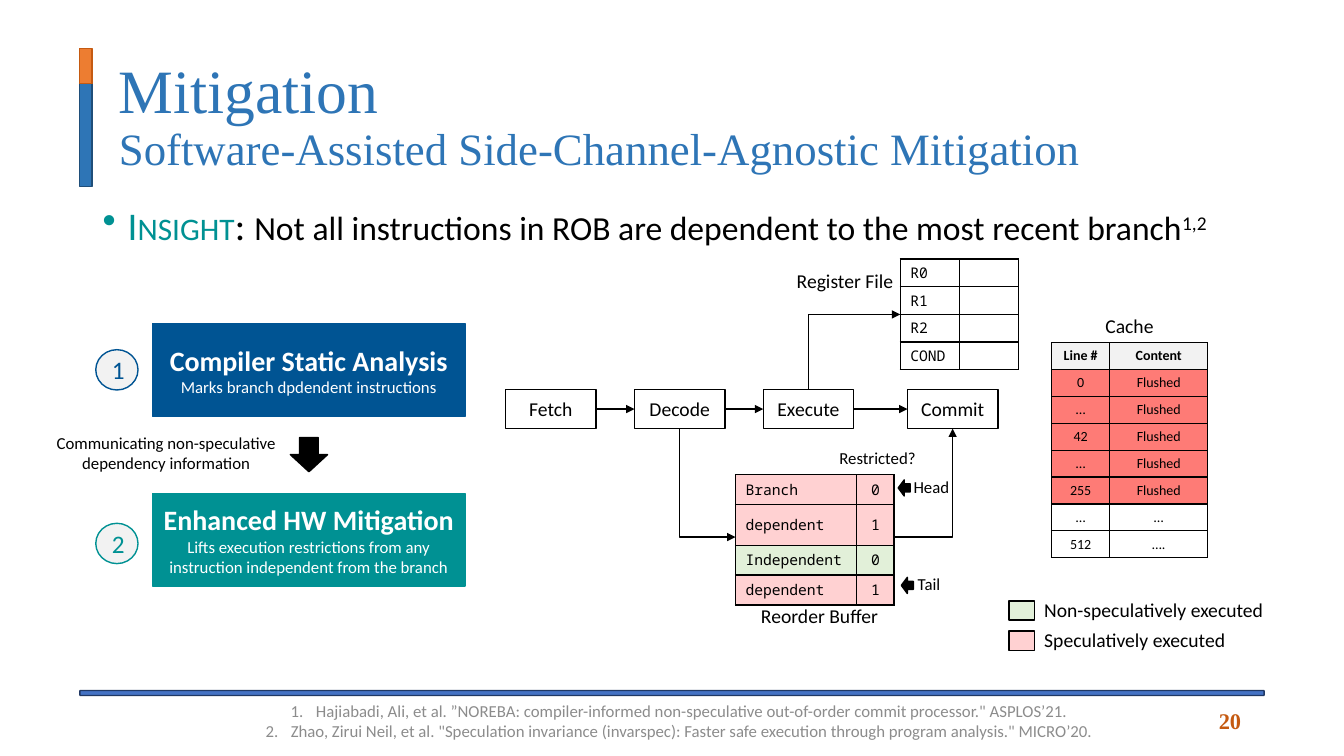
from lxml.etree import SubElement
from pptx import Presentation
from pptx.dml.color import RGBColor
from pptx.enum.shapes import MSO_CONNECTOR as Link, MSO_SHAPE as Shape
from pptx.enum.text import MSO_ANCHOR as Anchor, PP_ALIGN as Align
from pptx.oxml.ns import qn
from pptx.util import Pt

BLACK, WHITE, GREY = "000000", "FFFFFF", "F2F2F2"
BLUE, TEAL, NAVY, RUST = "2E75B6", "009193", "005493", "C55A11"
GREEN, PINK, RED = "E2F0D9", "FFD1D2", "FE7B76"
SERIF, SANS, MONO = "Times New Roman", "Calibri", "Noto Sans Mono"

TITLE = [[("Mitigation", {"size": 44})],
         [("Software-Assisted Side-Channel-Agnostic Mitigation", {})]]
INSIGHT = [[("Insight", {"size": 28, "color": TEAL, "cap": "small"}),
            (": ", {"size": 28}),
            ("Not all instructions in ROB are dependent to the most recent branch", {}),
            ("1,2", {"baseline": "30000"})]]
REFERENCES = [
    "Hajiabadi, Ali, et al. ”NOREBA: compiler-informed non-speculative "
    "out-of-order commit processor.\" ASPLOS’21.",
    "Zhao, Zirui Neil, et al. \"Speculation invariance (invarspec): Faster safe "
    "execution through program analysis.\" MICRO’20."]
# left, top, width, height, fill, line
BARS = [(57, 493.2, 846, 3.6, "4472C4", "203864", Shape.ROUNDED_RECTANGLE),
        (57, 59.8, 8.8, 73.4, BLUE, "1F4E79", Shape.RECTANGLE),
        (57, 34.6, 8.8, 25.2, "ED7D31", RUST, Shape.RECTANGLE)]
# heading, detail, colour, box top, circle top
STEPS = [("Compiler Static Analysis", "Marks branch dpdendent instructions",
          NAVY, 231.2, 249.8),
         ("Enhanced HW Mitigation", "Lifts execution restrictions from any "
          "instruction independent from the branch", TEAL, 352.4, 373.8)]
STAGES = {"Fetch": 361.2, "Decode": 453.2, "Execute": 545.2, "Commit": 648.2}
STAGE_TOP, STAGE_WIDTH, STAGE_HEIGHT = 278.2, 64.6, 28
REGISTERS = ["R0", "R1", "R2", "COND"]
ROB = [("Branch", "0", PINK), ("dependent", "1", PINK),
       ("Independent", "0", GREEN), ("dependent", "1", PINK)]
CACHE = [("0", "Flushed"), ("…", "Flushed"), ("42", "Flushed"),
         ("…", "Flushed"), ("255", "Flushed"), ("…", "…"), ("512", "….")]
# text, left, top, width, size
LABELS = [("Head", 645.2, 337, 40.2, 12), ("Tail", 648, 406.2, 31.2, 12),
          ("Restricted?", 592, 316, 69.8, 12),
          ("Reorder Buffer", 535.6, 427.8, 99.6, 14),
          ("Register File", 561.4, 188.8, 84.4, 14),
          ("Cache", 782, 220.4, 49.6, 14)]
POINTERS = [(641.6, 342.8), (643.8, 412.4)]
LEGEND = [("Non-speculatively executed", GREEN, 172.8),
          ("Speculatively executed", PINK, 145.4)]

deck = Presentation()
deck.slide_width, deck.slide_height = Pt(960), Pt(540)
page = deck.slides.add_slide(deck.slide_layouts[6])


def rgb(color):
    return RGBColor.from_string(color)


def write(frame, paragraphs, size=14, color=BLACK, font=SANS, bold=False,
          align=Align.CENTER, spacing=None, bullet=None):
    """Fill a frame; a paragraph is a string or a list of (text, format) spans."""
    for index, content in enumerate(paragraphs):
        para = frame.paragraphs[0] if index == 0 else frame.add_paragraph()
        para.alignment = align
        if bullet:
            props = para._p.get_or_add_pPr()
            props.set("marL", str(Pt(18)))
            props.set("indent", str(-Pt(18)))
            tag, attribute, value = bullet
            SubElement(props, qn(tag)).set(attribute, value)
        if spacing:
            para.line_spacing = spacing
        for words, look in [(content, {})] if isinstance(content, str) else content:
            span = para.add_run()
            span.text = words
            span.font.name = font
            span.font.size = Pt(look.get("size", size))
            span.font.bold = look.get("bold", bold)
            span.font.color.rgb = rgb(look.get("color", color))
            for key in ("cap", "baseline"):
                if key in look:
                    span._r.get_or_add_rPr().set(key, look[key])


def add_text(paragraphs, left, top, width, height, anchor=Anchor.TOP, wrap=True, **look):
    box = page.shapes.add_textbox(Pt(left), Pt(top), Pt(width), Pt(height))
    box.text_frame.word_wrap = wrap
    box.text_frame.vertical_anchor = anchor
    write(box.text_frame, paragraphs, **look)


def add_box(left, top, width, height, fill=None, line=BLACK, kind=Shape.RECTANGLE,
            paragraphs=(), **look):
    box = page.shapes.add_shape(kind, Pt(left), Pt(top), Pt(width), Pt(height))
    box.shadow.inherit = False
    if fill:
        box.fill.solid()
        box.fill.fore_color.rgb = rgb(fill)
    else:
        box.fill.background()
    box.line.color.rgb = rgb(line)
    box.line.width = Pt(1)
    box.text_frame.vertical_anchor = Anchor.MIDDLE
    write(box.text_frame, paragraphs, **look)


def add_arrow(start, end, kind=Link.STRAIGHT, turn=None):
    """Draw an arrow; an elbow has one corner, and turn rotates it in degrees."""
    arrow = page.shapes.add_connector(kind, *(Pt(value) for value in start + end))
    arrow.line.color.rgb = rgb(BLACK)
    arrow.line.width = Pt(1)
    props = arrow._element.spPr
    SubElement(props, qn("a:effectLst"))
    SubElement(props.find(qn("a:ln")), qn("a:tailEnd")).set("type", "triangle")
    if kind == Link.ELBOW:
        props.find(qn("a:prstGeom")).set("prst", "bentConnector2")
    if turn:
        props.find(qn("a:xfrm")).set("rot", str(turn * 60000))


def add_rising_arrow(start, end):
    """Elbow that leaves vertically and arrives from the left."""
    (x1, y1), (x2, y2) = start, end
    mid_x, mid_y = (x1 + x2) / 2, (y1 + y2) / 2
    half_run, half_rise = (x2 - x1) / 2, abs(y2 - y1) / 2
    side = 1 if y2 > y1 else -1
    add_arrow((mid_x + half_rise, mid_y - side * half_run),
              (mid_x - half_rise, mid_y + side * half_run),
              Link.ELBOW, 270 if side > 0 else 90)


def add_grid(left, top, widths, heights, rows, aligns, **look):
    """Draw a bordered table; a row is (cell texts, fill, bold)."""
    frame = page.shapes.add_table(len(rows), len(widths), Pt(left), Pt(top),
                                  Pt(sum(widths)), Pt(sum(heights)))
    grid = frame.table
    grid.first_row = grid.horz_banding = False
    for column, width in zip(grid.columns, widths):
        column.width = Pt(width)
    for r, (texts, fill, bold) in enumerate(rows):
        grid.rows[r].height = Pt(heights[r])
        for c, words in enumerate(texts):
            cell = grid.cell(r, c)
            cell.margin_top = cell.margin_bottom = Pt(2)
            cell.vertical_anchor = Anchor.MIDDLE
            props = cell._tc.get_or_add_tcPr()
            for side in ("a:lnL", "a:lnR", "a:lnT", "a:lnB"):
                edge = SubElement(props, qn(side), w=str(Pt(1)))
                paint = SubElement(edge, qn("a:solidFill"))
                SubElement(paint, qn("a:srgbClr"), val=BLACK)
            cell.fill.solid()
            cell.fill.fore_color.rgb = rgb(fill)
            if words:
                write(cell.text_frame, [words], bold=bold, align=aligns[c], **look)
            else:
                cell.text_frame.paragraphs[0]._p.get_or_add_endParaRPr().set("sz", "1000")


for *place, fill, line, kind in BARS:
    add_box(*place, fill, line, kind)
add_text(TITLE, 77.8, 34.6, 816.4, 98.6, Anchor.MIDDLE, size=32, color=BLUE,
         font=SERIF, align=Align.LEFT, spacing=0.9)
add_text(INSIGHT, 66.2, 144, 828, 40, size=24, align=Align.LEFT, spacing=0.9,
         bullet=("a:buChar", "char", "•"))
add_text(["20"], 758.2, 500.4, 135.4, 28.8, Anchor.MIDDLE, size=16, color=RUST,
         font=SERIF, bold=True, align=Align.RIGHT)
add_text(REFERENCES, 175.7, 500.4, 619.2, 28.8, Anchor.MIDDLE, size=12,
         color="8C8C8C", bullet=("a:buAutoNum", "type", "arabicPeriod"))

for number, (heading, detail, color, top, circle_top) in enumerate(STEPS, 1):
    add_box(109, top, 223.2, 66.2, color, color, size=12, color=WHITE,
            paragraphs=[[(heading, {"size": 20, "bold": True})], detail])
    add_box(68.4, circle_top, 30.2, 28.8, GREY, color, Shape.OVAL,
            paragraphs=[str(number)], size=18, color=color)
add_box(207.4, 312.5, 26.6, 24.5, BLACK, kind=Shape.DOWN_ARROW)
add_text(["Communicating non-speculative dependency information"],
         23, 305.3, 191.5, 36, size=12)

for name, left in STAGES.items():
    add_box(left, STAGE_TOP, STAGE_WIDTH, STAGE_HEIGHT, paragraphs=[name])
stage_middle, stage_bottom = STAGE_TOP + STAGE_HEIGHT / 2, STAGE_TOP + STAGE_HEIGHT
lefts = list(STAGES.values())
for left, following in zip(lefts, lefts[1:]):
    add_arrow((left + STAGE_WIDTH, stage_middle), (following, stage_middle))
center = {name: left + STAGE_WIDTH / 2 for name, left in STAGES.items()}
add_rising_arrow((center["Decode"], stage_bottom), (525.4, 383.6))
add_rising_arrow((center["Execute"], STAGE_TOP), (643, 224.6))
add_arrow((638.6, 383.6), (center["Commit"], stage_bottom), Link.ELBOW)

add_grid(525.4, 339.2, [86.6, 26.6], [21.4, 28.8, 21.4, 21.4],
         [((name, flag), fill, False) for name, flag, fill in ROB],
         [Align.LEFT, Align.CENTER], size=10.5, font=MONO)
add_grid(643, 185, [42.2, 42.2], [19.8] * 4,
         [((name, ""), WHITE, False) for name in REGISTERS],
         [Align.LEFT, Align.LEFT], size=10.5, font=MONO)
add_grid(751, 244.8, [41.8, 69.8], [19.2] * 8,
         [(("Line #", "Content"), GREY, True)]
         + [(row, RED if row[1] == "Flushed" else WHITE, False) for row in CACHE],
         [Align.CENTER, Align.CENTER], size=10)

for words, left, top, width, size in LABELS:
    add_text([words], left, top, width, size + 10, wrap=False, size=size)
for left, top in POINTERS:
    add_box(left, top, 8.6, 11.5, BLACK, kind=Shape.LEFT_ARROW)
for index, (words, fill, width) in enumerate(LEGEND):
    top = 429.2 + 21.6 * index
    add_box(720.8, top, 18, 13.7, fill)
    add_text([words], 738.8, top - 5.8, width, 24.2, wrap=False, align=Align.LEFT)

deck.save("out.pptx")
